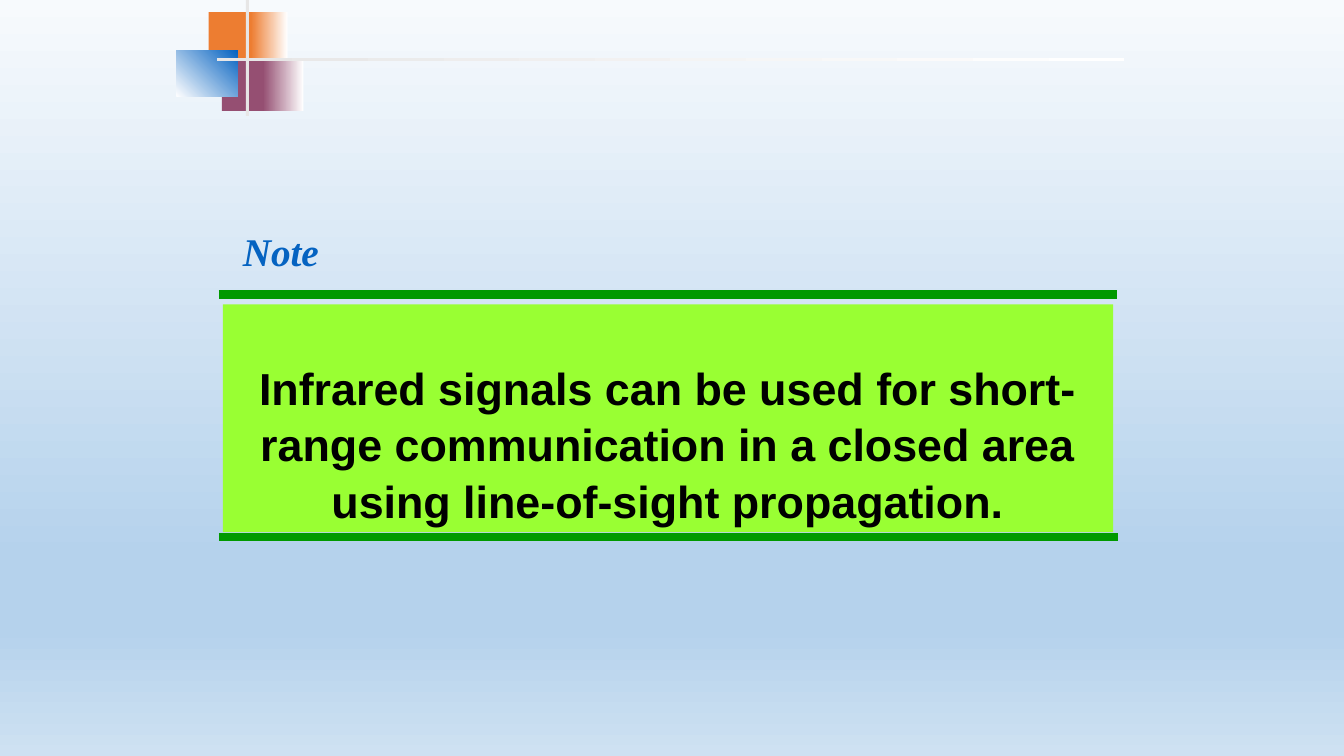
from lxml import etree
from pptx import Presentation
from pptx.dml.color import RGBColor
from pptx.enum.shapes import MSO_CONNECTOR, MSO_SHAPE
from pptx.enum.text import MSO_ANCHOR, PP_ALIGN
from pptx.oxml.ns import qn
from pptx.util import Inches, Pt

RECT = MSO_SHAPE.RECTANGLE
LINE = MSO_CONNECTOR.STRAIGHT
BOTTOM = MSO_ANCHOR.BOTTOM
CENTER = PP_ALIGN.CENTER

COLORS = {
    "orange": "ED7D31", "plum": "954F72", "blue": "0563C1",
    "gray": "E7E6E6", "white": "FFFFFF", "black": "000000",
    "green": "009900", "lime": "99FF33",
    "sky_top": "F7FAFD", "sky_mid": "B5D2EC", "sky_end": "CEE1F2",
}


def rgb(name):
    return RGBColor.from_string(COLORS[name])


def shade(fill, root, stops, angle=0):
    """Fill with (percent, color) stops; the angle runs clockwise."""
    fill.gradient()
    fill.gradient_angle = (360 - angle) % 360
    stop_list = root.find(".//" + qn("a:gsLst"))
    for old in list(stop_list):
        stop_list.remove(old)
    for percent, name in stops:
        stop = etree.SubElement(stop_list, qn("a:gs"), pos=str(percent * 1000))
        etree.SubElement(stop, qn("a:srgbClr"), val=COLORS[name])


def add_rect(slide, box, color, fade=None, angle=0):
    """Add a plain rectangle, or one that runs from color to fade."""
    rect = slide.shapes.add_shape(RECT, *map(Inches, box))
    rect.shadow.inherit = False
    rect.line.fill.background()
    if fade:
        shade(rect.fill, rect.element, [(0, color), (100, fade)], angle)
    else:
        rect.fill.solid()
        rect.fill.fore_color.rgb = rgb(color)
    return rect


def add_rule(slide, left, right, y):
    rule = slide.shapes.add_connector(
        LINE, Inches(left), Inches(y), Inches(right), Inches(y))
    rule.line.color.rgb = rgb("green")
    rule.line.width = Pt(6)
    etree.SubElement(rule.element.spPr, qn("a:effectLst"))


def write(shape, text, font_name, size, color, italic=False):
    frame = shape.text_frame
    frame.text = text
    font = frame.paragraphs[0].runs[0].font
    font.name, font.size = font_name, Pt(size)
    font.bold, font.italic = True, italic
    font.color.rgb = rgb(color)
    return frame


def add_motif(slide):
    add_rect(slide, (2.07, 0.12, 0.48, 0.52), "orange")
    add_rect(slide, (2.49, 0.12, 0.36, 0.52), "orange", "white")
    add_rect(slide, (2.2, 0.58, 0.46, 0.52), "plum")
    add_rect(slide, (2.61, 0.58, 0.4, 0.52), "plum", "white")
    add_rect(slide, (1.75, 0.5, 0.61, 0.46), "white", "blue", 315)
    add_rect(slide, (2.44, 0, 0.03, 1.15), "gray")
    add_rect(slide, (2.15, 0.58, 9, 0.03), "gray", "white")


def add_note(slide):
    add_rule(slide, 2.17, 11.08, 2.92)
    add_rule(slide, 2.17, 11.09, 5.33)
    panel = add_rect(slide, (2.21, 3.02, 8.83, 2.26), "lime")
    frame = write(panel, "Infrared signals can be used for short-range "
                  "communication in a closed area using line-of-sight "
                  "propagation.", "Arial", 32, "black")
    frame.word_wrap = True
    frame.vertical_anchor = BOTTOM
    frame.paragraphs[0].alignment = CENTER
    frame.paragraphs[0].line_spacing = 1.05
    label = slide.shapes.add_textbox(*map(Inches, (2.31, 2.21, 0.96, 0.57)))
    write(label, "Note", "Times New Roman", 28, "blue", italic=True)


def main():
    deck = Presentation()
    deck.slide_width, deck.slide_height = Inches(13.33), Inches(7.5)
    slide = deck.slides.add_slide(deck.slide_layouts[6])
    sky = [(0, "sky_top"), (74, "sky_mid"), (83, "sky_mid"), (100, "sky_end")]
    shade(slide.background.fill, slide.element, sky, 90)
    add_motif(slide)
    add_note(slide)
    deck.save("out.pptx")


if __name__ == "__main__":
    main()
